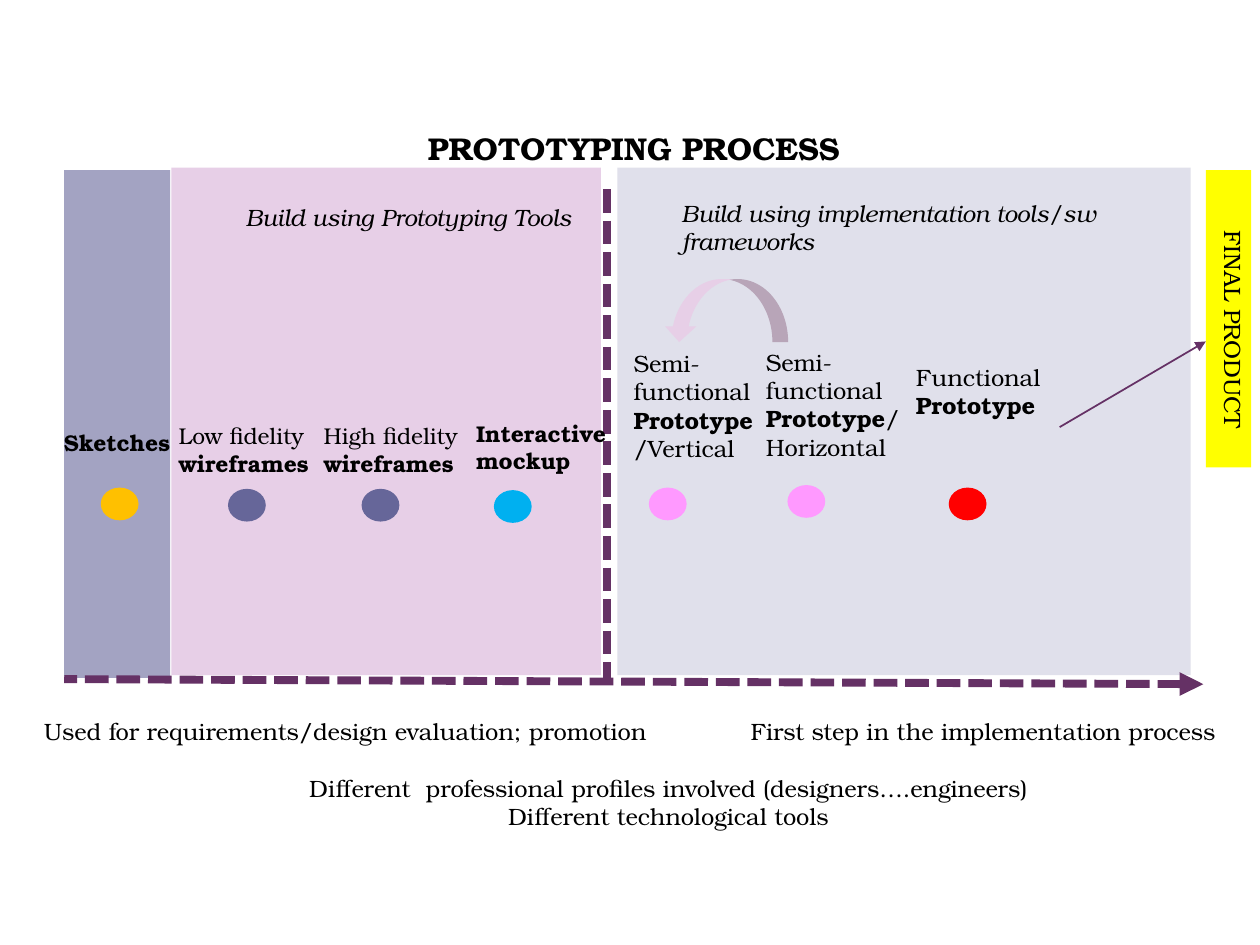
import pptx
import pptx.dml.color
import pptx.enum.dml
import pptx.enum.shapes
import pptx.enum.text
import pptx.oxml
import pptx.oxml.ns
import pptx.util

FONT = "TeX Gyre Bonum"
BLACK, PLUM, PINK = "000000", "653165", "E7CFE7"
COLUMNS, ROWS = 100, 75
SHAPE = pptx.enum.shapes.MSO_SHAPE
CENTER = pptx.enum.text.PP_ALIGN.CENTER


def rgb(value):
    return pptx.dml.color.RGBColor.from_string(value)


def element(tag, **attributes):
    node = pptx.oxml.parse_xml(f"<a:{tag} {pptx.oxml.ns.nsdecls('a')}/>")
    for key, value in attributes.items():
        node.set(key, str(value))
    return node


class ProcessSlide:
    """Places elements on a grid of 100 columns by 75 rows."""

    def __init__(self, deck):
        self.column = deck.slide_width / COLUMNS
        self.row = deck.slide_height / ROWS
        self.slide = deck.slides.add_slide(deck.slide_layouts[5])

    def x(self, columns):
        return int(columns * self.column)

    def y(self, rows):
        return int(rows * self.row)

    def box(self, left, top, width, height):
        return self.x(left), self.y(top), self.x(width), self.y(height)

    def style(self, paragraph, size, bold=False, italic=False):
        for run in paragraph.runs:
            font = run.font
            font.name, font.size = FONT, pptx.util.Pt(size)
            font.bold, font.italic = bold, italic
            font.color.rgb = rgb(BLACK)

    def title(self, text, *place):
        heading = self.slide.shapes.title
        heading.left, heading.top, heading.width, heading.height = self.box(*place)
        frame = heading.text_frame
        frame.text = text
        frame.vertical_anchor = pptx.enum.text.MSO_ANCHOR.TOP
        frame.paragraphs[0].alignment = CENTER
        self.style(frame.paragraphs[0], 18, bold=True)

    def shape(self, kind, color, *place, rotation=0):
        item = self.slide.shapes.add_shape(kind, *self.box(*place))
        item.shadow.inherit = False
        item.fill.solid()
        item.fill.fore_color.rgb = rgb(color)
        item.line.fill.background()
        item.rotation = rotation

    def text(self, text, *place, size=13.5, italic=False, rotation=0):
        """Add a text box; parts between asterisks are bold."""
        item = self.slide.shapes.add_textbox(*self.box(*place))
        item.rotation = rotation
        frame = item.text_frame
        frame.word_wrap = True
        paragraph = frame.paragraphs[0]
        parts = [(part, i % 2 == 1) for i, part in enumerate(text.split("*")) if part]
        for part, _ in parts:
            paragraph.add_run().text = part
        self.style(paragraph, size, italic=italic)
        for run, (_, bold) in zip(paragraph.runs, parts):
            run.font.bold = bold
        return frame

    def line(self, start, end, width, dashed=False, arrow=None):
        item = self.slide.shapes.add_connector(
            pptx.enum.shapes.MSO_CONNECTOR.STRAIGHT,
            self.x(start[0]), self.y(start[1]), self.x(end[0]), self.y(end[1]))
        item.line.color.rgb = rgb(PLUM)
        item.line.width = pptx.util.Pt(width)
        if dashed:
            item.line.dash_style = pptx.enum.dml.MSO_LINE.SQUARE_DOT
        if arrow:
            item.line._get_or_add_ln().append(element(arrow, type="triangle"))
        item._element.spPr.append(element("effectLst"))


def build():
    deck = pptx.Presentation()
    deck.slide_width, deck.slide_height = pptx.util.Inches(10), pptx.util.Inches(7.5)
    process = ProcessSlide(deck)
    process.title("PROTOTYPING PROCESS", 32.4, 9.7, 35.8, 4)

    # Phase panels and their captions
    for color, left, top, width in (("A3A3C2", 5.1, 13.5, 8.4),
                                    ("E0E0EB", 49, 13.3, 45.5),
                                    (PINK, 13.6, 13.3, 34.1)):
        process.shape(SHAPE.RECTANGLE, color, left, top, width, 40.3)
    process.text("Build using Prototyping Tools", 18.5, 15.6, 32.9, 3.3, italic=True)
    process.text("Build using implementation tools/sw frameworks",
                 53.1, 15.3, 36.4, 5.6, italic=True)

    # Divider and time axis
    process.line((48.2, 15), (48.2, 53.9), 4.5, dashed=True)
    process.line((95.5, 54.3), (5.1, 53.9), 4.5, dashed=True, arrow="headEnd")

    # Stages: label, left, top, width, height, size, then dot left, top, colour
    stages = (
        ("*Sketches*", 4.1, 33.5, 11, 3.2, 13, 8, 38.7, "FFC000"),
        ("Low fidelity *wireframes*", 13.2, 33, 12.9, 5.4, 13, 18.1, 38.8, "666699"),
        ("High fidelity *wireframes*", 24.7, 33, 13.2, 5.4, 13, 28.7, 38.8, "666699"),
        ("*Interactive mockup*", 36.8, 32.8, 13.2, 5.6, 13, 39.2, 38.9, "00B0F0"),
        ("Semi-functional *Prototype*/Vertical",
         49.3, 27.2, 12.2, 10.1, 13.5, 51.5, 38.7, "FF99FF"),
        ("Semi-functional *Prototype*/Horizontal",
         59.8, 27.1, 12.9, 10.1, 13.5, 62.5, 38.5, "FF99FF"),
        ("Functional *Prototype*", 71.7, 28.3, 19.1, 5.6, 13.5, 75.3, 38.7, "FF0000"),
    )
    for label, left, top, width, height, size, dot_left, dot_top, color in stages:
        process.text(label, left, top, width, height, size=size)
        process.shape(SHAPE.OVAL, color, dot_left, dot_top, 3, 2.6)

    # Loop back between the semi-functional prototypes
    process.shape(SHAPE.CURVED_RIGHT_ARROW, PINK, 55.1, 19.7, 5, 9.9, rotation=90)

    # Final product
    process.line((84.1, 33.9), (95.7, 27.1), 1, arrow="tailEnd")
    process.shape(SHAPE.RECTANGLE, "FFFF00", 95.7, 13.5, 3.6, 23.6)
    process.text("FINAL PRODUCT", 84.2, 29.4, 27.4, 3.3, rotation=90)

    # Remarks below the axis
    remarks = process.text("Used for requirements/design evaluation; promotion\t"
                           "First step in the implementation process",
                           2.5, 56.4, 101.1, 14.6)
    tabs = element("tabLst")
    tabs.append(element("tab", pos=process.x(56.1), algn="l"))
    remarks.paragraphs[0]._p.get_or_add_pPr().append(tabs)
    for text, gap in (("Different  professional profiles involved (designers….engineers)", 16.2),
                      ("Different technological tools", 0)):
        paragraph = remarks.add_paragraph()
        paragraph.text = text
        paragraph.alignment = CENTER
        paragraph.space_before = pptx.util.Pt(gap)
        process.style(paragraph, 13.5)

    deck.save("out.pptx")


if __name__ == "__main__":
    build()
